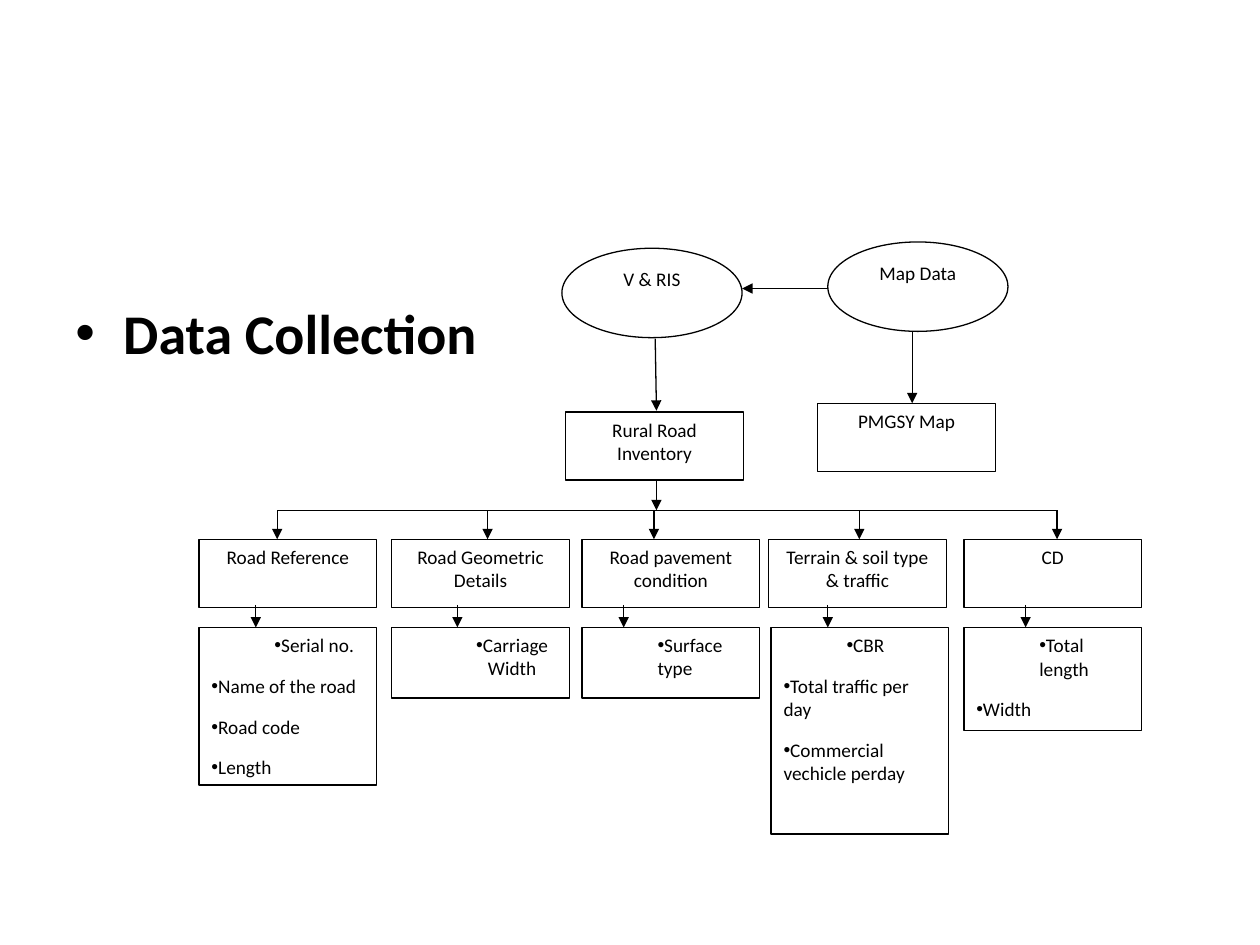
from lxml.etree import SubElement
from pptx import Presentation
from pptx.dml.color import RGBColor
from pptx.enum.shapes import MSO_CONNECTOR, MSO_SHAPE
from pptx.enum.text import MSO_ANCHOR, PP_ALIGN
from pptx.oxml.ns import qn
from pptx.util import Inches, Pt

COLORS = {"ink": "000000", "paper": "FFFFFF"}
FONT = "Calibri"
BOX_WIDTH = 1.41
BUS_Y, HEAD_Y, DETAIL_Y = 4.05, 4.28, 4.98

# heading, left, arrow x from the bus, arrow x to the details,
# details left, details height, details alignment, details
BRANCHES = [
    ("Road Reference", 1.58, 2.2, 2.03, 1.58, 1.25, PP_ALIGN.LEFT,
     ["Serial no.", "Name of the road", "Road code", "Length"]),
    ("Road Geometric Details", 3.11, 3.87, 3.63, 3.11, 0.56, PP_ALIGN.CENTER,
     ["Carriage Width"]),
    ("Road pavement condition", 4.62, 5.19, 4.95, 4.62, 0.56, PP_ALIGN.LEFT,
     ["Surface type"]),
    ("Terrain & soil type & traffic", 6.1, 6.82, 6.57, 6.12, 1.64, PP_ALIGN.LEFT,
     ["CBR", "Total traffic per day", "Commercial vechicle perday"]),
    ("CD", 7.65, 8.39, 8.14, 7.65, 0.82, PP_ALIGN.LEFT,
     ["Total length", "Width"]),
]


def color(name):
    return RGBColor.from_string(COLORS[name])


class FlowSlide:
    def __init__(self, deck):
        self.slide = deck.slides.add_slide(deck.slide_layouts[6])

    def style_text(self, para, size, bold=False):
        font = para.font
        font.name, font.size, font.bold = FONT, Pt(size), bold
        font.color.rgb = color("ink")

    def bullet(self, para, margin=0, indent=0):
        properties = para._p.get_or_add_pPr()
        properties.set("marL", str(Inches(margin)))
        properties.set("indent", str(Inches(indent)))
        SubElement(properties, qn("a:buFont"), typeface="Arial")
        SubElement(properties, qn("a:buChar"), char="•")

    def title(self, text, left, top, width, height, inset):
        box = self.slide.shapes.add_textbox(
            Inches(left), Inches(top), Inches(width), Inches(height))
        frame = box.text_frame
        frame.word_wrap = True
        frame.margin_top = Inches(inset)
        para = frame.paragraphs[0]
        para.text = text
        self.bullet(para, 0.38, -0.38)
        self.style_text(para, 32, bold=True)

    def node(self, kind, left, top, width, height, lines,
             align=PP_ALIGN.CENTER, bulleted=False):
        shape = self.slide.shapes.add_shape(
            kind, Inches(left), Inches(top), Inches(width), Inches(height))
        shape.shadow.inherit = False
        shape.fill.solid()
        shape.fill.fore_color.rgb = color("paper")
        shape.line.color.rgb = color("ink")
        shape.line.width = Pt(0.75)
        frame = shape.text_frame
        frame.word_wrap = True
        frame.vertical_anchor = MSO_ANCHOR.TOP
        for index, text in enumerate(lines):
            para = frame.add_paragraph() if index else frame.paragraphs[0]
            para.text = text
            para.alignment = align
            para.space_after = Pt(10)
            if bulleted:
                # The first item is one level deeper than the rest
                para.level = 0 if index else 1
                self.bullet(para, 0 if index else 0.5)
            self.style_text(para, 11)

    def ellipse(self, text, left, top):
        self.node(MSO_SHAPE.OVAL, left, top, 1.43, 0.71, [text])

    def box(self, text, left, top):
        self.node(MSO_SHAPE.RECTANGLE, left, top, BOX_WIDTH, 0.54, [text])

    def details(self, lines, left, height, align):
        self.node(MSO_SHAPE.RECTANGLE, left, DETAIL_Y, BOX_WIDTH, height,
                  lines, align, bulleted=True)

    def line(self, x1, y1, x2, y2, arrow=True):
        connector = self.slide.shapes.add_connector(
            MSO_CONNECTOR.STRAIGHT, Inches(x1), Inches(y1), Inches(x2), Inches(y2))
        connector.line.color.rgb = color("ink")
        connector.line.width = Pt(0.75)
        properties = connector._element.spPr
        if arrow:
            SubElement(properties.find(qn("a:ln")), qn("a:tailEnd"), type="triangle")
        SubElement(properties, qn("a:effectLst"))


def main():
    deck = Presentation()
    deck.slide_width, deck.slide_height = Inches(10), Inches(7.5)
    page = FlowSlide(deck)
    page.title("Data Collection", 0.5, 1.75, 9, 4.95, inset=0.62)

    # Sources and their outputs
    page.ellipse("V & RIS", 4.46, 1.97)
    page.ellipse("Map Data", 6.57, 1.92)
    page.box("Rural Road Inventory", 4.49, 3.27)
    page.box("PMGSY Map", 6.49, 3.2)
    page.line(6.57, 2.29, 5.89, 2.29)
    page.line(7.24, 2.63, 7.24, 3.2)
    page.line(5.2, 2.69, 5.21, 3.26)

    # Bus from the inventory to the branches
    page.line(5.21, 3.81, 5.21, BUS_Y)
    page.line(BRANCHES[-1][2], BUS_Y, BRANCHES[0][2], BUS_Y, arrow=False)

    # Branch headings with their details
    for heading, left, bus_x, detail_x, detail_left, height, align, items in BRANCHES:
        page.box(heading, left, HEAD_Y)
        page.details(items, detail_left, height, align)
        page.line(bus_x, BUS_Y, bus_x, HEAD_Y)
        page.line(detail_x, 4.8, detail_x, DETAIL_Y)

    deck.save("out.pptx")


if __name__ == "__main__":
    main()
